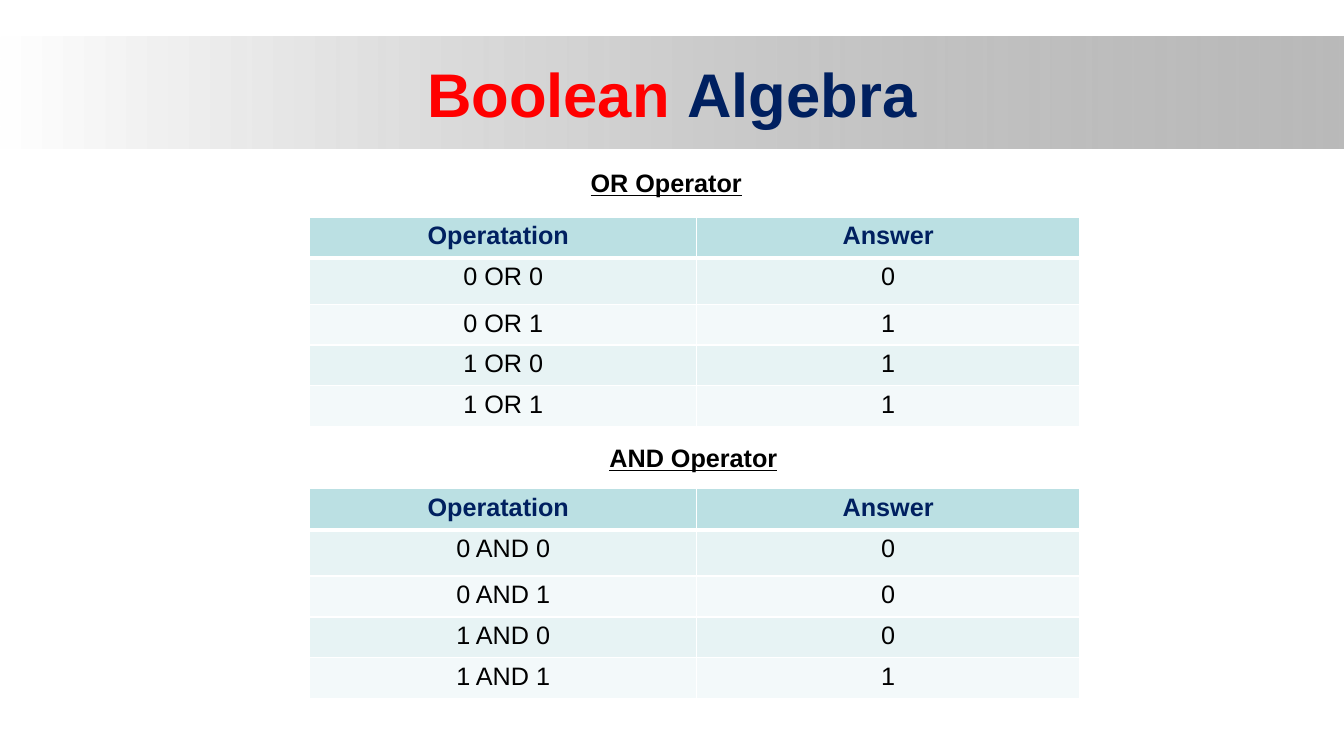
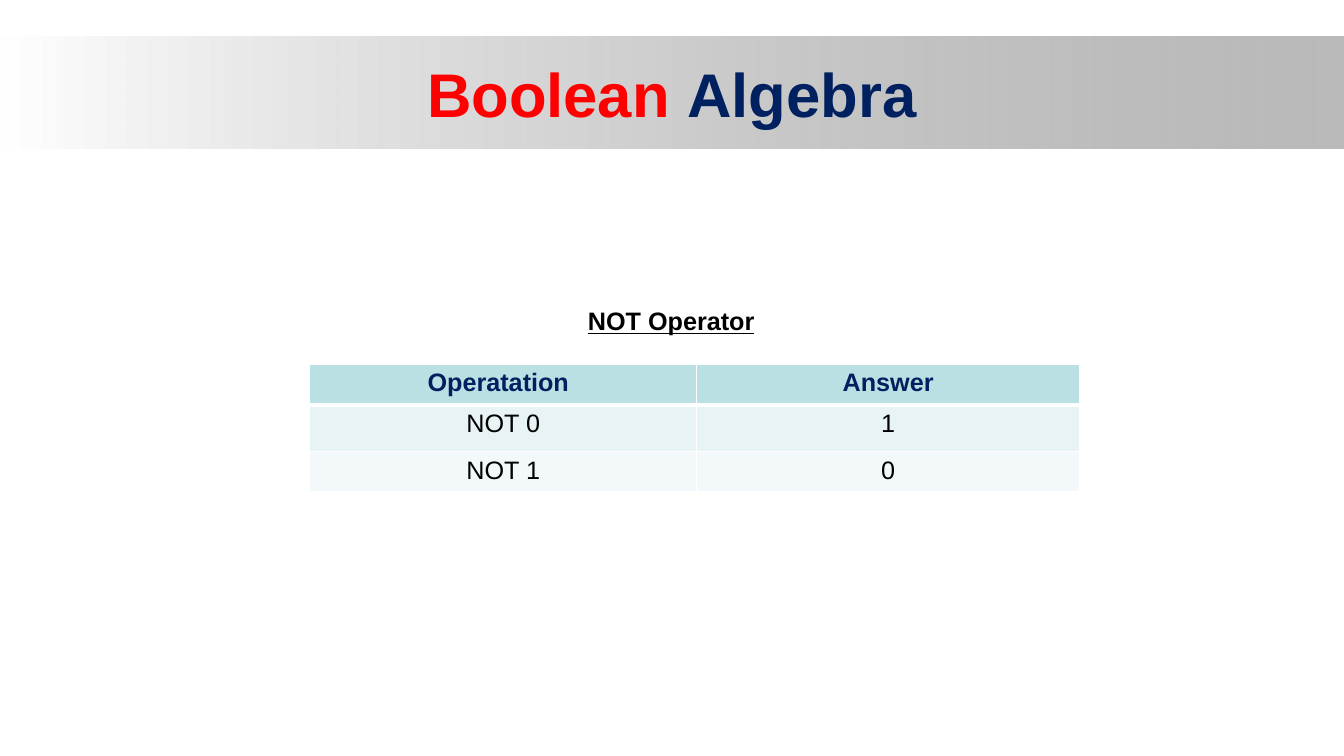
from lxml import etree
from pptx import Presentation
from pptx.dml.color import RGBColor
from pptx.enum.shapes import MSO_SHAPE as SHAPE
from pptx.enum.text import MSO_ANCHOR as ANCHOR, MSO_AUTO_SIZE as AUTO, PP_ALIGN as ALIGN
from pptx.oxml import parse_xml
from pptx.oxml.ns import nsdecls, qn
from pptx.util import Pt

WHITE, GRAY, RED, NAVY, BLACK = "FFFFFF", "808080", "FF0000", "002060", "000000"
HEADER, BANDS = "BBE0E3", ("E7F3F4", "F3F9FA")
COLS = (276.5, 273.5)
ROWS = (29.2, 33.1, 29.2, 28.1, 29.2)
TABLE_LEFT = 221.2

# Each operator: name, heading left and top, table top, rows
SLIDES = [
    [("OR", 385.2, 115.9, 155, [("0 OR 0", "0"), ("0 OR 1", "1"), ("1 OR 0", "1"), ("1 OR 1", "1")]),
     ("AND", 404.6, 312.5, 349.2, [("0 AND 0", "0"), ("0 AND 1", "0"), ("1 AND 0", "0"), ("1 AND 1", "1")])],
    [("NOT", 388.8, 214.6, 260, [("NOT 0", "1"), ("NOT 1", "0")])],
]


def rgb(color):
    return RGBColor.from_string(color)


def add_run(p, text, size, color, bold=False, underline=None):
    p.alignment = ALIGN.CENTER
    r = p.add_run()
    r.text = text
    r.font.name, r.font.size = "Arial", Pt(size)
    r.font.bold, r.font.underline = bold, underline
    r.font.color.rgb = rgb(color)


prs = Presentation()
prs.slide_width, prs.slide_height = Pt(960), Pt(540)

for operators in SLIDES:
    s = prs.slides.add_slide(prs.slide_layouts[6])

    # Title band, fading in from the left
    band = s.shapes.add_shape(SHAPE.RECTANGLE, 0, Pt(26), Pt(960), Pt(80))
    band.shadow.inherit = False
    band.line.fill.background()
    band.fill.gradient()
    band.fill.gradient_angle = 0
    for stop, color in zip(band.fill.gradient_stops, (WHITE, GRAY)):
        stop.color.rgb = rgb(color)
    end_color = list(band._element.spPr.iter(qn("a:srgbClr")))[-1]
    etree.SubElement(end_color, qn("a:alpha")).set("val", "54000")

    # Title
    tf = s.shapes.add_textbox(Pt(48), Pt(21.6), Pt(864), Pt(90)).text_frame
    tf.word_wrap = True
    tf.vertical_anchor = ANCHOR.MIDDLE
    add_run(tf.paragraphs[0], "Boolean ", 44, RED, bold=True)
    add_run(tf.paragraphs[0], "Algebra", 44, NAVY, bold=True)

    for name, left, top, table_top, answers in operators:
        # Operator heading
        tf = s.shapes.add_textbox(Pt(left), Pt(top), Pt(181.4), Pt(29)).text_frame
        tf.word_wrap = True
        tf.auto_size = AUTO.SHAPE_TO_FIT_TEXT
        add_run(tf.paragraphs[0], f"{name} Operator", 18, BLACK, bold=True, underline=True)

        # Truth table
        rows = [("Operatation\t", "Answer")] + answers
        heights = ROWS[:len(rows)]
        table = s.shapes.add_table(len(rows), len(COLS), Pt(TABLE_LEFT), Pt(table_top),
                                   Pt(sum(COLS)), Pt(sum(heights))).table
        table.first_row = table.horz_banding = False
        for column, width in zip(table.columns, COLS):
            column.width = Pt(width)
        for i, (texts, height) in enumerate(zip(rows, heights)):
            table.rows[i].height = Pt(height)
            is_header = i == 0
            borders = {"L": 1, "R": 1, "T": 3 if i == 1 else 1, "B": 3 if is_header else 1}
            for cell, text in zip(table.rows[i].cells, texts):
                tc_pr = cell._tc.get_or_add_tcPr()
                for side, width in borders.items():
                    tc_pr.append(parse_xml(
                        f'<a:ln{side} {nsdecls("a")} w="{Pt(width)}"><a:solidFill>'
                        f'<a:srgbClr val="{WHITE}"/></a:solidFill></a:ln{side}>'))
                cell.fill.solid()
                cell.fill.fore_color.rgb = rgb(HEADER if is_header else BANDS[(i - 1) % 2])
                add_run(cell.text_frame.paragraphs[0], text, 18,
                        NAVY if is_header else BLACK, bold=is_header)

prs.save("out.pptx")
